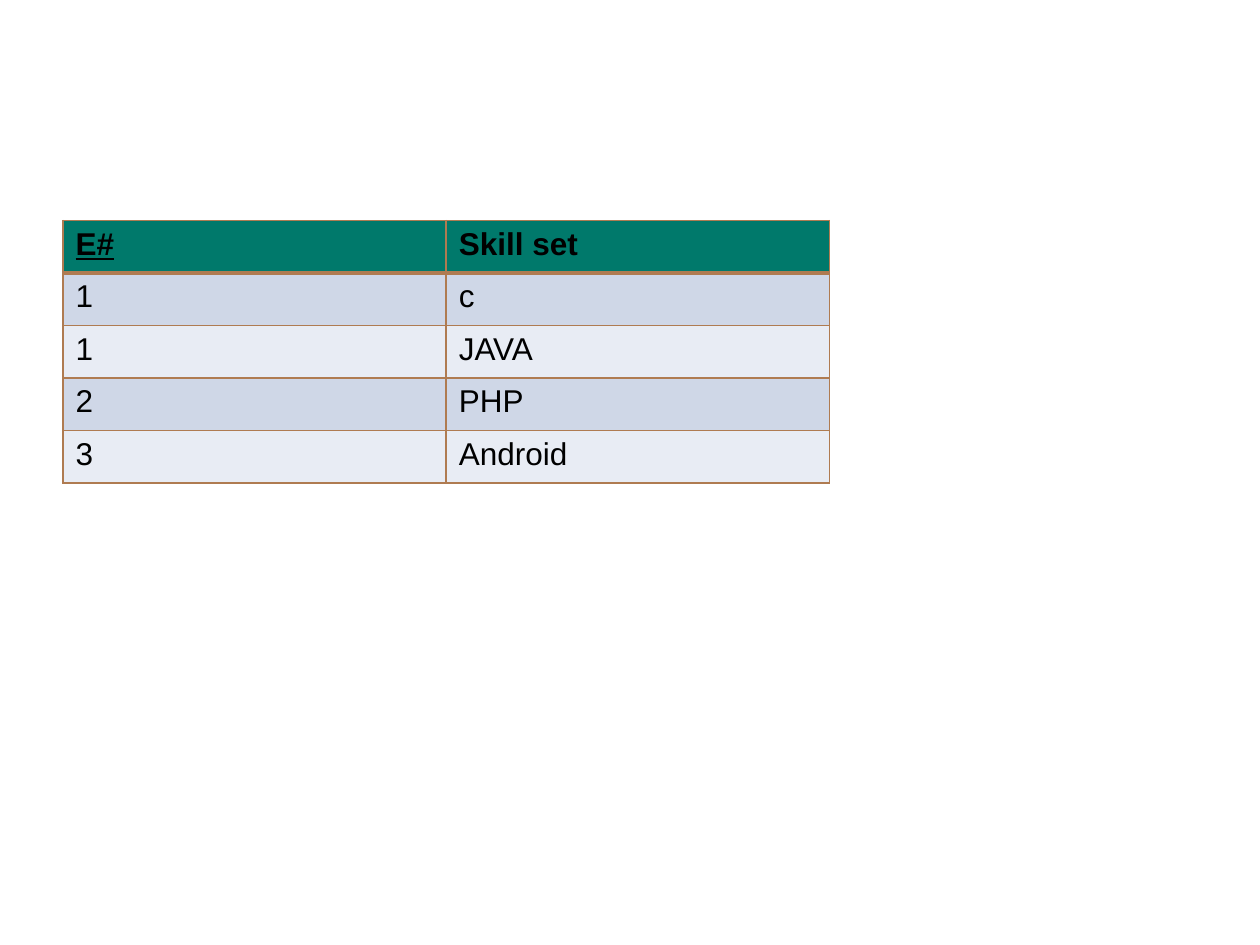
from lxml import etree
from pptx import Presentation
from pptx import util as u
from pptx.dml.color import RGBColor
from pptx.oxml.ns import qn

PX = 9525
BLACK = RGBColor(0x00, 0x00, 0x00)
TEAL = RGBColor(0x00, 0x79, 0x6B)
BROWN = RGBColor(0xAF, 0x7B, 0x51)
BAND_DARK = RGBColor(0xCF, 0xD7, 0xE7)
BAND_LIGHT = RGBColor(0xE8, 0xEC, 0xF4)

SKILLS = [
    ("E#", "Skill set"),
    ("1", "c"),
    ("1", "JAVA"),
    ("2", "PHP"),
    ("3", "Android"),
]


def px(length):
    return u.Emu(length * PX)


def write(frame, words, size=18, font="Arial", color=BLACK, bold=False, underline=False):
    span = frame.paragraphs[0].add_run()
    span.text = words
    span.font.size = u.Pt(size)
    span.font.name = font
    span.font.color.rgb = color
    span.font.bold = bold
    span.font.underline = underline


def set_borders(cell, **widths):
    properties = cell._tc.get_or_add_tcPr()
    for index, (side, width) in enumerate(widths.items()):
        line = etree.Element(qn(f"a:ln{side}"), w=str(u.Pt(width)))
        fill = etree.SubElement(line, qn("a:solidFill"))
        etree.SubElement(fill, qn("a:srgbClr"), val=str(BROWN))
        properties.insert(index, line)


class SlideBuilder:
    def __init__(self, deck):
        self.page = deck.slides.add_slide(deck.slide_layouts[6])

    def table(self, rows, left, top, column_width, row_height):
        columns = len(rows[0])
        frame = self.page.shapes.add_table(
            len(rows), columns, px(left), px(top),
            px(column_width * columns), px(row_height * len(rows)))
        grid = frame.table
        for column in grid.columns:
            column.width = px(column_width)
        for number, (row, values) in enumerate(zip(grid.rows, rows)):
            row.height = px(row_height)
            header = number == 0
            band = TEAL if header else (BAND_LIGHT, BAND_DARK)[number % 2]
            for position, (cell, words) in enumerate(zip(row.cells, values)):
                cell.fill.solid()
                cell.fill.fore_color.rgb = band
                set_borders(cell, L=1, R=1, T=3 if number == 1 else 1, B=3 if header else 1)
                write(cell.text_frame, words, bold=header,
                      underline=header and position == 0)


def main():
    deck = Presentation()
    deck.slide_width, deck.slide_height = px(960), px(720)
    builder = SlideBuilder(deck)
    builder.table(SKILLS, left=48, top=168, column_width=292, row_height=40)
    deck.save("out.pptx")


if __name__ == "__main__":
    main()
